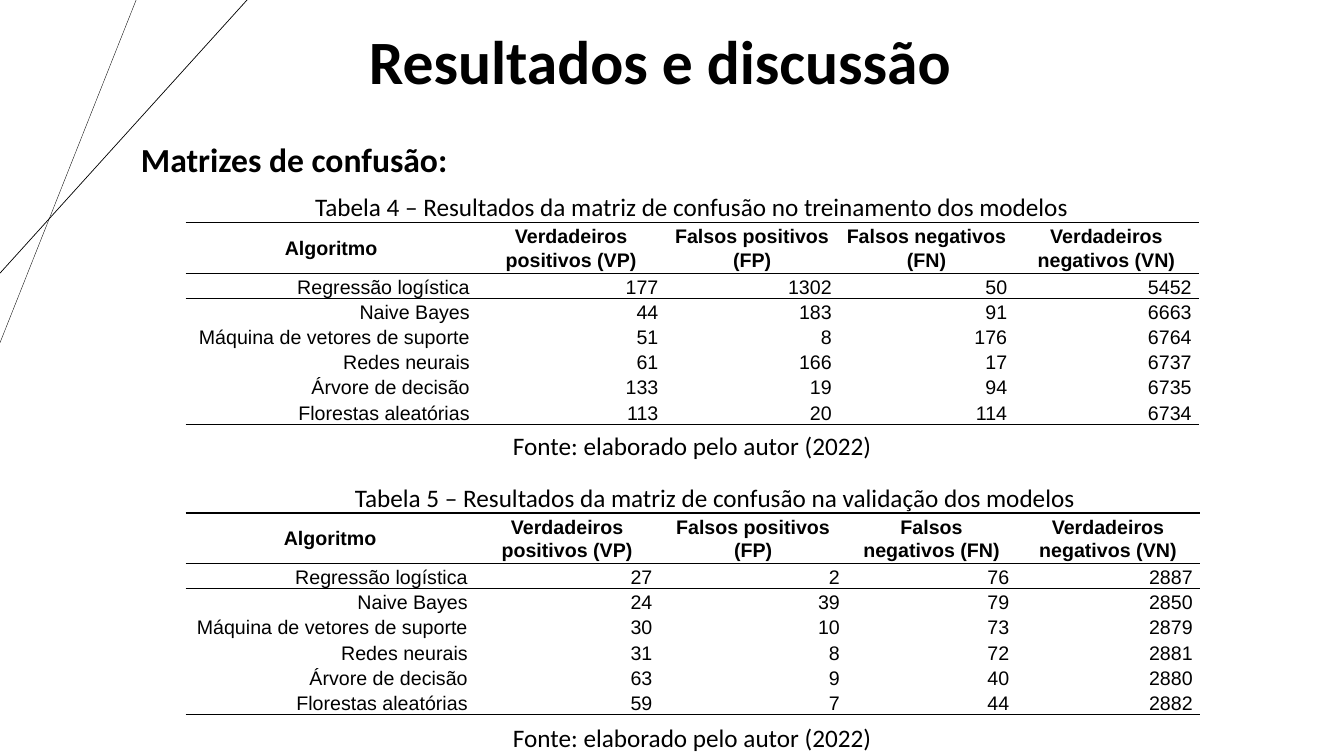
from lxml.etree import SubElement
from pptx import Presentation
from pptx.dml.color import RGBColor
from pptx.enum.shapes import MSO_CONNECTOR
from pptx.enum.text import MSO_ANCHOR, PP_ALIGN
from pptx.oxml import parse_xml
from pptx.oxml.ns import nsdecls, qn
from pptx.util import Pt

BLACK = RGBColor(0, 0, 0)
PX = 9144  # 100 px to the inch
NO_TABLE_STYLE = "{2D5ABB26-0587-4C30-8999-92F81FD0307C}"

HEADERS = ["Algoritmo", "Verdadeiros positivos (VP)", "Falsos positivos (FP)",
           "Falsos negativos (FN)", "Verdadeiros negativos (VN)"]
ALGORITHMS = ["Regressão logística", "Naive Bayes", "Máquina de vetores de suporte",
              "Redes neurais", "Árvore de decisão", "Florestas aleatórias"]
TRAINING = [(177, 1302, 50, 5452), (44, 183, 91, 6663), (51, 8, 176, 6764),
            (61, 166, 17, 6737), (133, 19, 94, 6735), (113, 20, 114, 6734)]
VALIDATION = [(27, 2, 76, 2887), (24, 39, 79, 2850), (30, 10, 73, 2879),
              (31, 8, 72, 2881), (63, 9, 40, 2880), (59, 7, 44, 2882)]


class ResultsSlide:
    heading_font = "Calibri"
    table_font = "Arial"
    header_height = 50
    row_height = 25

    def __init__(self, presentation):
        self.slide = presentation.slides.add_slide(presentation.slide_layouts[6])

    def add_words(self, paragraph, text, font, size, bold, align, spacing):
        paragraph.alignment = align
        paragraph.line_spacing = spacing
        run = paragraph.add_run()
        run.text = text
        run.font.name = font
        run.font.size = Pt(size)
        run.font.bold = bold
        run.font.color.rgb = BLACK

    def line(self, start, end, width):
        connector = self.slide.shapes.add_connector(
            MSO_CONNECTOR.STRAIGHT, *(v * PX for v in start + end))
        connector.line.color.rgb = BLACK
        connector.line.width = Pt(width)
        SubElement(connector._element.spPr, qn("a:effectLst"))

    def text(self, text, box, size=18, bold=False, align=PP_ALIGN.CENTER, spacing=1.0):
        frame = self.slide.shapes.add_textbox(*(v * PX for v in box)).text_frame
        frame.word_wrap = True
        self.add_words(frame.paragraphs[0], text, self.heading_font, size, bold, align, spacing)

    def rule(self, cell, sides):
        """Draw 1 pt cell borders on the given sides, in the order T, B."""
        properties = cell._tc.get_or_add_tcPr()
        for position, side in enumerate(sides):
            properties.insert(position, parse_xml(
                f'<a:ln{side} {nsdecls("a")} w="12700"><a:solidFill>'
                f'<a:srgbClr val="{BLACK}"/></a:solidFill></a:ln{side}>'))

    def confusion_table(self, left, top, widths, counts):
        rows = [HEADERS] + [[name, *values] for name, values in zip(ALGORITHMS, counts)]
        height = self.header_height + self.row_height * len(counts)
        table = self.slide.shapes.add_table(
            len(rows), len(widths), left * PX, top * PX, sum(widths) * PX, height * PX).table
        table._tbl.tblPr.find(qn("a:tableStyleId")).text = NO_TABLE_STYLE
        table.first_row = table.horz_banding = False
        for column, width in zip(table.columns, widths):
            column.width = width * PX
        rules = {0: "TB", 1: "T", len(counts): "B"}
        for r, row in enumerate(rows):
            header = r == 0
            table.rows[r].height = (self.header_height if header else self.row_height) * PX
            for c, value in enumerate(row):
                cell = table.cell(r, c)
                cell.margin_left = cell.margin_right = 7 * PX
                cell.margin_top = cell.margin_bottom = 0
                cell.vertical_anchor = MSO_ANCHOR.MIDDLE if header else MSO_ANCHOR.BOTTOM
                cell.fill.background()
                self.rule(cell, rules.get(r, ""))
                self.add_words(cell.text_frame.paragraphs[0], str(value), self.table_font, 14,
                               header, PP_ALIGN.CENTER if header else PP_ALIGN.RIGHT, 1.07)


def main():
    presentation = Presentation()
    presentation.slide_width = 1333 * PX
    presentation.slide_height = 750 * PX
    results = ResultsSlide(presentation)

    results.line((135, 0), (0, 340), 0.25)
    results.line((245, 0), (0, 271), 0.5)
    results.text("Resultados e discussão", (279, 18, 752, 84), 44, True)
    results.text("Matrizes de confusão:", (130, 133, 1113, 50), 24, True, PP_ALIGN.LEFT)

    results.confusion_table(184, 221, (289, 187, 172, 174, 183), TRAINING)
    results.confusion_table(184, 509, (287, 183, 186, 168, 182), VALIDATION)
    results.text("Tabela 4 – Resultados da matriz de confusão no treinamento dos modelos",
                 (206, 185, 960, 40))
    results.text("Tabela 5 – Resultados da matriz de confusão na validação dos modelos",
                 (229, 474, 960, 40))
    for source_top in (407, 697):
        results.text("Fonte: elaborado pelo autor (2022)", (353, source_top, 667, 51),
                     spacing=1.5)

    presentation.save("out.pptx")


if __name__ == "__main__":
    main()
